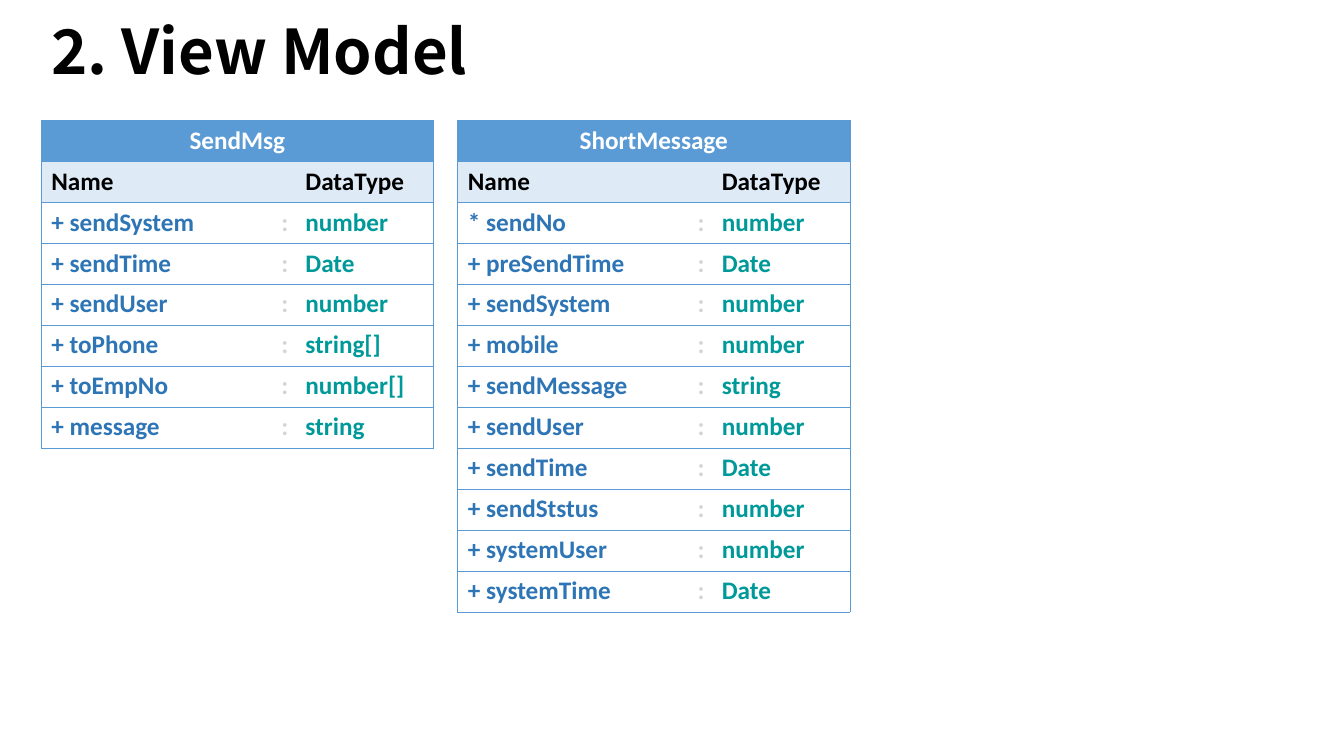
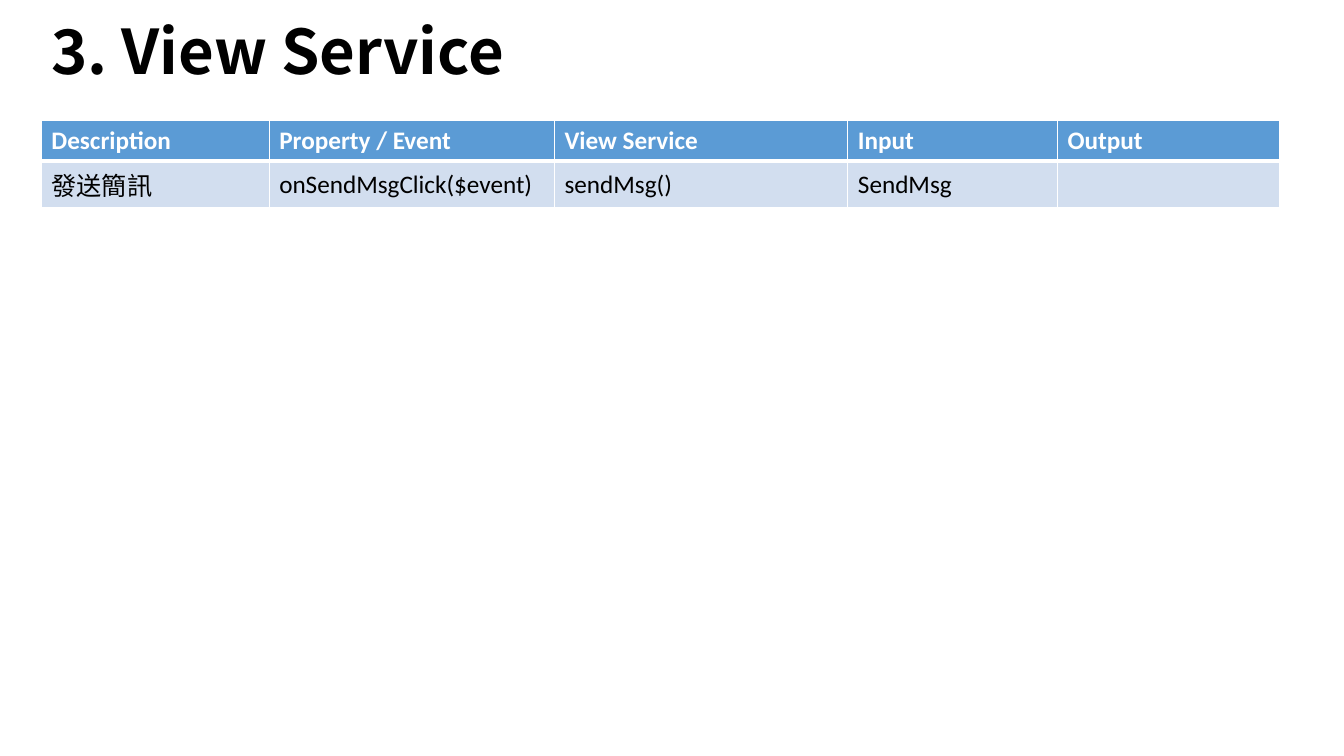
from dataclasses import dataclass

from lxml.etree import SubElement
from pptx import Presentation
from pptx.dml.color import RGBColor
from pptx.enum.text import MSO_ANCHOR as Anchor, PP_ALIGN as Align
from pptx.oxml.ns import qn
from pptx.util import Inches, Pt


@dataclass(frozen=True)
class Theme:
    """Colours, fonts and type sizes shared by the slides."""
    white: str = "FFFFFF"
    black: str = "000000"
    accent: str = "5B9BD5"
    subheader: str = "DEEBF7"
    band: str = "D2DEEF"
    field: str = "2E75B6"
    separator: str = "D4D4D4"
    data_type: str = "009999"
    font: str = "Calibri"
    cjk_font: str = "Noto Sans CJK SC"
    title_size: int = 44
    table_size: int = 18
    no_table_style: str = "{2D5ABB26-0587-4C30-8999-92F81FD0307C}"


theme = Theme()
TABLE_LEFT, TABLE_TOP = 0.41, 1.19


def add_table(slide, left, column_widths, row_heights):
    """Add an unstyled table with the given column widths and row heights."""
    frame = slide.shapes.add_table(
        len(row_heights), len(column_widths), Inches(left), Inches(TABLE_TOP),
        Inches(sum(column_widths)), Inches(sum(row_heights)))
    table = frame.table
    table.first_row = table.horz_banding = False
    table._tbl.tblPr.find(qn("a:tableStyleId")).text = theme.no_table_style
    for column, width in zip(table.columns, column_widths):
        column.width = Inches(width)
    for row, height in zip(table.rows, row_heights):
        row.height = Inches(height)
    return table


def format_cell(cell, text, color, fill, borders, border_color, bold=True):
    """Write a cell; borders are points for left, right, top and bottom."""
    if text:
        cell.text = text
        paragraph = cell.text_frame.paragraphs[0]
        font = paragraph.font
        font.size, font.bold = Pt(theme.table_size), bold
        font.color.rgb = RGBColor.from_string(color)
        font.name = theme.font if text.isascii() or "\u00a0" in text else theme.cjk_font
        properties = paragraph._p.pPr.find(qn("a:defRPr"))
        SubElement(properties, qn("a:ea")).set("typeface", theme.cjk_font)
    if fill:
        cell.fill.solid()
        cell.fill.fore_color.rgb = RGBColor.from_string(fill)
    else:
        cell.fill.background()
    cell_properties = cell._tc.get_or_add_tcPr()
    for index, (side, points) in enumerate(zip("LRTB", borders)):
        line = SubElement(cell_properties, qn(f"a:ln{side}"))
        cell_properties.insert(index, line)
        if points:
            line.set("w", str(Pt(points)))
            solid = SubElement(line, qn("a:solidFill"))
            SubElement(solid, qn("a:srgbClr")).set("val", border_color)
        else:
            SubElement(line, qn("a:noFill"))


presentation = Presentation()
presentation.slide_width = Inches(13.33)
presentation.slide_height = Inches(7.5)
title_layout = presentation.slide_layouts[5]

slides = []
for heading in ("2. View Model", "3. View Service"):
    slide = presentation.slides.add_slide(title_layout)
    title = slide.shapes.title
    title.left, title.top = Inches(TABLE_LEFT), Inches(-0.1)
    title.width, title.height = Inches(9.3), Inches(1.28)
    title.text = heading
    title.text_frame.vertical_anchor = Anchor.MIDDLE
    paragraph = title.text_frame.paragraphs[0]
    paragraph.alignment = Align.LEFT
    paragraph.line_spacing = 0.9
    paragraph.font.name = theme.cjk_font
    paragraph.font.size = Pt(theme.title_size)
    paragraph.font.bold = True
    paragraph.font.color.rgb = RGBColor.from_string(theme.black)
    slides.append(slide)
model_slide, service_slide = slides

# View models: one table per class, with a merged header
models = {
    "SendMsg": [
        ("+ sendSystem", "number"),
        ("+ sendTime", "Date"),
        ("+ sendUser", "number"),
        ("+ toPhone", "string[]"),
        ("+ toEmpNo", "number[]"),
        ("+ message", "string"),
    ],
    "ShortMessage": [
        ("* sendNo", "number"),
        ("+ preSendTime", "Date"),
        ("+ sendSystem", "number"),
        ("+ mobile", "number"),
        ("+ sendMessage", "string"),
        ("+ sendUser", "number"),
        ("+ sendTime", "Date"),
        ("+ sendStstus", "number"),
        ("+ systemUser", "number"),
        ("+ systemTime", "Date"),
    ],
}
model_columns = (2.28, 0.23, 1.37)
model_pitch = 4.13
model_row_height = 0.407
field_colors = (theme.field, theme.separator, theme.data_type)
for model_index, (model_name, fields) in enumerate(models.items()):
    rows = [(model_name, "", ""), ("Name", "", "DataType")]
    rows += [(name, ":", data_type) for name, data_type in fields]
    table = add_table(model_slide, TABLE_LEFT + model_index * model_pitch,
                      model_columns, [model_row_height] * len(rows))
    table.cell(0, 0).merge(table.cell(0, 2))
    for row_index, row in enumerate(rows):
        if row_index == 0:
            colors, fill = (theme.white,) * 3, theme.accent
        elif row_index == 1:
            colors, fill = (theme.black,) * 3, theme.subheader
        else:
            colors, fill = field_colors, None
        for column_index, text in enumerate(row):
            left = 0.5 if column_index == 0 else 0
            right = 0.5 if column_index == 2 or row_index == 0 else 0
            format_cell(table.cell(row_index, column_index), text, colors[column_index],
                        fill, (left, right, 0.5, 0.5), theme.accent)
    table.cell(0, 0).text_frame.paragraphs[0].alignment = Align.CENTER

# View services: header row and one service
services = [
    ("Description", "Property\u00a0/ Event", "View Service", "Input", "Output"),
    ("發送簡訊", "onSendMsgClick($event)", "sendMsg()", "SendMsg", ""),
]
table = add_table(service_slide, TABLE_LEFT, (2.26, 2.83, 2.91, 2.08, 2.2), (0.41, 0.46))
for row_index, row in enumerate(services):
    is_header = row_index == 0
    color, fill = (theme.white, theme.accent) if is_header else (theme.black, theme.band)
    borders = (1, 1, 1, 3) if is_header else (1, 1, 3, 1)
    for column_index, text in enumerate(row):
        cell = table.cell(row_index, column_index)
        cell.vertical_anchor = Anchor.MIDDLE
        format_cell(cell, text, color, fill, borders, theme.white, bold=is_header)

presentation.save("out.pptx")
